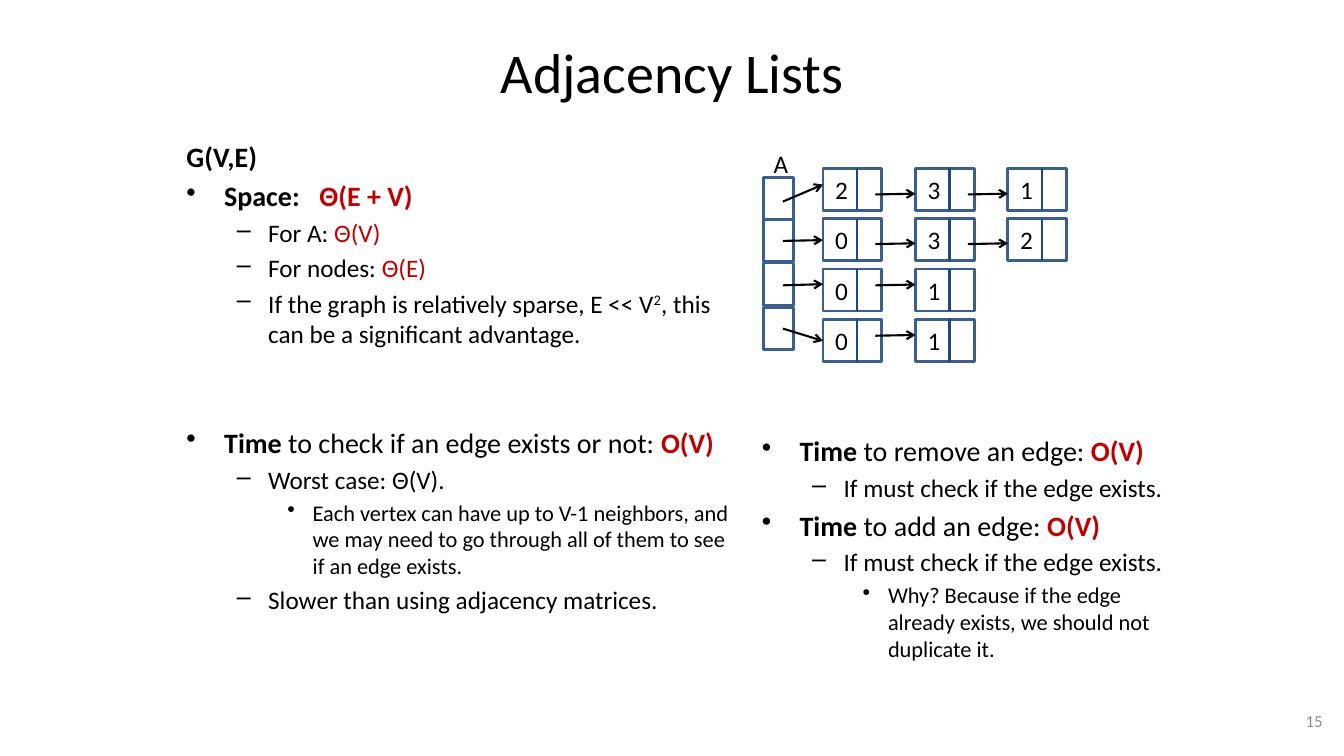
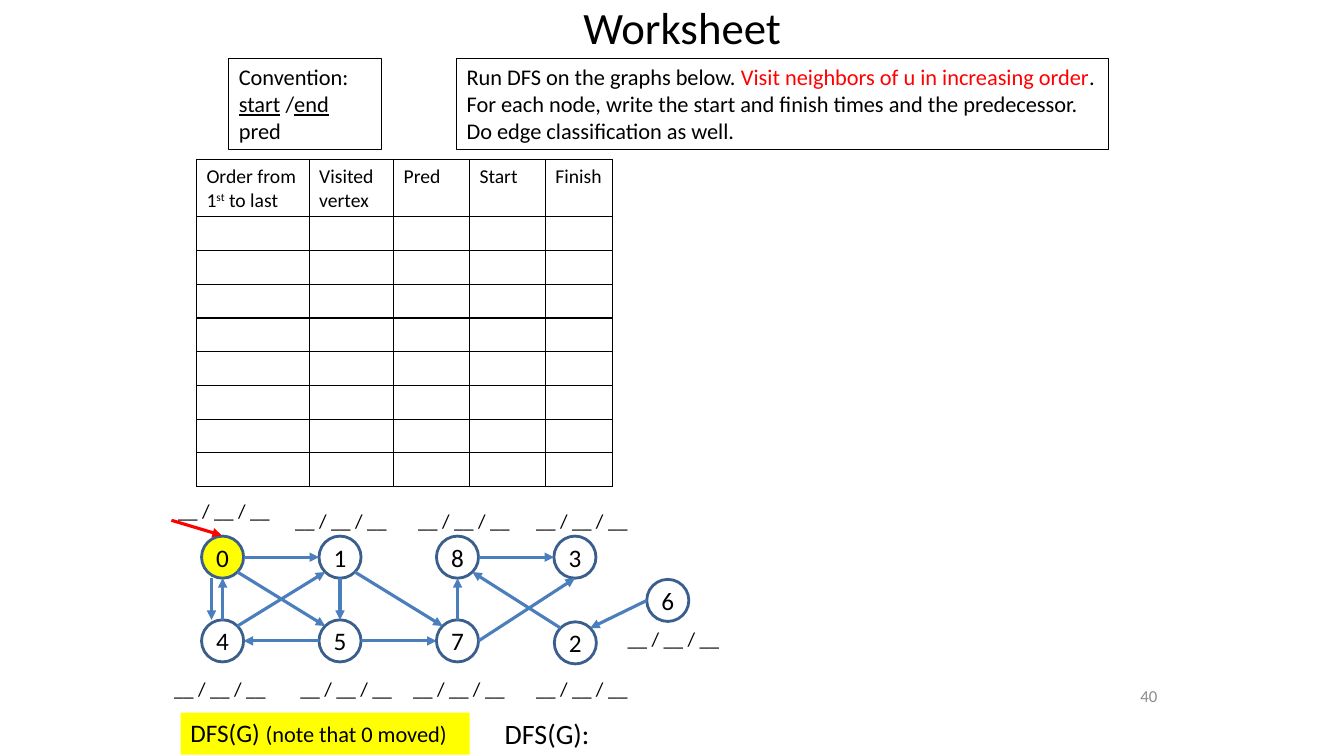
from math import cos, radians, sin

from lxml import etree
from pptx import Presentation
from pptx.dml.color import RGBColor
from pptx.enum.shapes import MSO_CONNECTOR, MSO_SHAPE
from pptx.enum.text import MSO_ANCHOR, PP_ALIGN
from pptx.oxml.ns import qn
from pptx.util import Cm, Pt

STRAIGHT = MSO_CONNECTOR.STRAIGHT
RECT, OVAL = MSO_SHAPE.RECTANGLE, MSO_SHAPE.OVAL
LEFT, CENTER, RIGHT = PP_ALIGN.LEFT, PP_ALIGN.CENTER, PP_ALIGN.RIGHT
TOP, MIDDLE = MSO_ANCHOR.TOP, MSO_ANCHOR.MIDDLE

BLACK = RGBColor(0x00, 0x00, 0x00)
GRAY = RGBColor(0x8C, 0x8C, 0x8C)
DARK_RED = RGBColor(0xC0, 0x00, 0x00)
RED = RGBColor(0xFF, 0x00, 0x00)
YELLOW = RGBColor(0xFF, 0xFF, 0x00)
OUTLINE = RGBColor(0x3A, 0x5F, 0x8C)
NAVY = RGBColor(0x1F, 0x49, 0x7D)
EDGE = RGBColor(0x4B, 0x7E, 0xBC)

FONT = "Calibri"
BOLD = {"bold": True}
COST = {"color": DARK_RED}
BOLD_COST = {"bold": True, "color": DARK_RED}
SUPER = {"baseline": "30000"}
UNDERLINE = {"underline": True}

LEVELS = {
    0: {"size": 20, "left": 0.95, "hang": 0.95, "bullet": "•"},
    1: {"size": 18, "left": 2.06, "hang": 0.79, "bullet": "–"},
    2: {"size": 16, "left": 3.18, "hang": 0.64, "bullet": "•"},
}

CELL_W, CELL_H = 1.48, 1.06
LIST_X, LIST_Y, LIST_DX, LIST_DY = 20.74, 4.24, 2.33, 1.27
LISTS = ["231", "032", "01", "01"]
NEXT_Y = [0.66, 0.64, 0.41, 0.41]
SLOT_X, SLOT_W = 19.25, 0.74
SLOT_TOPS = [4.47, 5.53, 6.63, 7.75]
SLOT_ARROWS = [(5.08, 4.65), (6.07, 6.05), (7.19, 7.16), (8.28, 8.59)]

NODE_D = 1.06
NODE_X, NODE_DX = 5.08, 2.96
ROW_TOPS = [13.51, 15.62]
NODE_ROWS = ["0183", "457"]
EXTRA_NODES = {"2": (13.97, 15.67), "6": (16.3, 14.6)}
PORTS = {"E": 0, "SE": 45, "S": 90, "SW": 135, "W": 180, "NW": 225, "N": 270, "NE": 315}
EDGES = [
    ("0", "E", "1", "W", 0), ("5", "W", "4", "E", 0), ("5", "E", "7", "W", 0),
    ("7", "E", "3", "S", 0), ("8", "E", "3", "W", 0), ("4", "N", "0", "S", 0),
    ("1", "S", "5", "N", 0), ("7", "N", "8", "S", 0), ("4", "NE", "1", "SW", 0),
    ("0", "SE", "5", "NW", 0), ("1", "SE", "7", "NW", 0), ("0", "S", "4", "N", -0.28),
    ("2", "NW", "8", "SE", 0), ("6", "W", "2", "NE", 0),
]
BLANKS = [
    (4.24, 12.45), (7.19, 12.7), (10.29, 12.7), (13.26, 12.7),
    (4.14, 16.93), (7.32, 16.93), (10.16, 16.93), (13.26, 16.93), (15.57, 15.67),
]
COLUMNS = [2.84, 2.13, 1.91, 1.91, 1.7]
HEADS = [
    [("Order from 1", {}), ("st", SUPER), (" to last", {})],
    [("Visited vertex", {})], [("Pred", {})], [("Start", {})], [("Finish", {})],
]
HEAD_H, ROW_H, BODY_ROWS = 1.44, 0.85, 8


def set_all(obj, values):
    for name, value in values.items():
        setattr(obj, name, value)


def add_runs(p, runs, size, color=BLACK):
    for text, marks in runs:
        r = p.add_run()
        r.text = text
        values = {"name": FONT, "size": Pt(size), "color": color, **marks}
        r.font.color.rgb = values.pop("color")
        baseline = values.pop("baseline", None)
        if baseline:
            r._r.get_or_add_rPr().set("baseline", baseline)
        set_all(r.font, values)


def fill_text(tf, paragraphs, size, color=BLACK, align=LEFT, anchor=TOP, **frame):
    set_all(tf, {"word_wrap": True, "vertical_anchor": anchor, **frame})
    for i, runs in enumerate(paragraphs):
        p = tf.add_paragraph() if i else tf.paragraphs[0]
        p.alignment = align
        add_runs(p, runs, size, color)


def add_text(s, box, paragraphs, size, **options):
    sp = s.shapes.add_textbox(*map(Cm, box))
    fill_text(sp.text_frame, paragraphs, size, **options)
    return sp


def add_framed_text(s, box, paragraphs):
    sp = add_text(s, box, paragraphs, 16)
    sp.line.color.rgb = BLACK
    sp.line.width = Pt(0.75)


def add_page_number(s, box, number):
    add_text(s, box, [[(number, {})]], 12, color=GRAY, align=RIGHT, anchor=MIDDLE)


def add_outline(s, box, items):
    tf = s.shapes.add_textbox(*map(Cm, box)).text_frame
    tf.word_wrap = True
    for i, (level, runs, options) in enumerate(items):
        p = tf.add_paragraph() if i else tf.paragraphs[0]
        style = LEVELS[level]
        if options.get("bullet", True):
            pPr = p._p.get_or_add_pPr()
            pPr.set("marL", str(Cm(style["left"])))
            pPr.set("indent", str(-Cm(style["hang"])))
            etree.SubElement(pPr, qn("a:buChar"), char=style["bullet"])
            if "tab" in options:
                tabs = etree.SubElement(pPr, qn("a:tabLst"))
                etree.SubElement(tabs, qn("a:tab"), pos=str(Cm(options["tab"])), algn="l")
        p.level = level
        if i:
            p.space_before = Pt(options.get("before", style["size"] * 0.2))
        add_runs(p, runs, style["size"])


def add_shape(s, kind, box, fill=None, line=None):
    sp = s.shapes.add_shape(kind, *map(Cm, box))
    sp.shadow.inherit = False
    if fill is None:
        sp.fill.background()
    else:
        sp.fill.solid()
        sp.fill.fore_color.rgb = fill
    if line is None:
        sp.line.fill.background()
    else:
        sp.line.color.rgb = line
        sp.line.width = Pt(2)
    return sp


def add_line(s, start, end, color, width, head=None):
    cn = s.shapes.add_connector(STRAIGHT, *map(Cm, (*start, *end)))
    cn.line.color.rgb = color
    cn.line.width = Pt(width)
    if head:
        etree.SubElement(cn.line._get_or_add_ln(), qn("a:tailEnd"), type=head)
    etree.SubElement(cn._element.spPr, qn("a:effectLst"))


def add_list_cell(s, x, y, value):
    add_shape(s, RECT, (x, y, CELL_W, CELL_H), line=OUTLINE)
    add_line(s, (x + 0.86, y), (x + 0.86, y + CELL_H), NAVY, 1.75)
    add_text(s, (x + 0.06, y + 0.03, 0.84, 1.02), [[(value, {})]], 18)


def add_adjacency_lists(s):
    add_text(s, (SLOT_X, 3.61, 0.89, 1.02), [[("A", {})]], 18)
    for row, values in enumerate(LISTS):
        add_shape(s, RECT, (SLOT_X, SLOT_TOPS[row], SLOT_W, CELL_H), line=OUTLINE)
        y = LIST_Y + row * LIST_DY
        for col, value in enumerate(values):
            x = LIST_X + col * LIST_DX
            add_list_cell(s, x, y, value)
            if col:
                link_y = y + NEXT_Y[row]
                start = (x - LIST_DX + 1.32, link_y)
                add_line(s, start, (x, link_y - 0.02), BLACK, 1.5, "arrow")
        y1, y2 = SLOT_ARROWS[row]
        add_line(s, (SLOT_X + 0.48, y1), (LIST_X, y2), BLACK, 1.5, "arrow")


def add_node(s, name, x, y):
    fill = YELLOW if name == "0" else None
    sp = add_shape(s, OVAL, (x, y, NODE_D, NODE_D), fill, OUTLINE)
    fill_text(sp.text_frame, [[(name, {})]], 18, align=CENTER, anchor=MIDDLE,
              margin_left=0, margin_right=0, margin_top=0, margin_bottom=0)


def port(corner, side, shift):
    angle, radius = radians(PORTS[side]), NODE_D / 2
    x, y = corner
    return x + radius * (1 + cos(angle)) + shift, y + radius * (1 + sin(angle))


def add_graph(s):
    nodes = {
        name: (NODE_X + col * NODE_DX, top)
        for top, names in zip(ROW_TOPS, NODE_ROWS)
        for col, name in enumerate(names)
    }
    nodes.update(EXTRA_NODES)
    for name, corner in nodes.items():
        add_node(s, name, *corner)
    for a, side_a, b, side_b, shift in EDGES:
        start, end = port(nodes[a], side_a, shift), port(nodes[b], side_b, shift)
        add_line(s, start, end, EDGE, 2.25, "triangle")
    add_line(s, (4.32, 13.11), (5.59, 13.49), RED, 2.25, "triangle")
    for x, y in BLANKS:
        add_text(s, (x, y, 3.2, 0.86), [[("__ / __ / __", {})]], 14)


def add_borders(cell):
    tcPr = cell._tc.get_or_add_tcPr()
    for side in ("lnL", "lnR", "lnT", "lnB"):
        ln = etree.SubElement(tcPr, qn("a:" + side), w=str(Pt(1)))
        fill = etree.SubElement(ln, qn("a:solidFill"))
        etree.SubElement(fill, qn("a:srgbClr"), val=str(BLACK))


def add_visit_table(s):
    height = HEAD_H + BODY_ROWS * ROW_H
    box = map(Cm, (4.95, 4.02, sum(COLUMNS), height))
    table = s.shapes.add_table(BODY_ROWS + 1, len(COLUMNS), *box).table
    set_all(table, {"first_row": False, "horz_banding": False})
    for column, width in zip(table.columns, COLUMNS):
        column.width = Cm(width)
    for i, row in enumerate(table.rows):
        row.height = Cm(ROW_H if i else HEAD_H)
        for cell, runs in zip(row.cells, HEADS):
            add_borders(cell)
            cell.fill.background()
            if i:
                set_all(cell, {"margin_top": 0, "margin_bottom": 0})
            else:
                add_runs(cell.text_frame.paragraphs[0], runs, 14)


def build_adjacency(s):
    add_text(s, (1.7, 0.2, 30.48, 3.18), [[("Adjacency Lists", {})]], 40,
             align=CENTER, anchor=MIDDLE)
    add_outline(s, (4.45, 3.39, 14.17, 12.9), [
        (0, [("G(V,E)", BOLD)], {"bullet": False}),
        (0, [("Space:\t", BOLD), ("Θ(E + V)", BOLD_COST)], {"tab": 3.35}),
        (1, [("For A: ", {}), ("Θ(V)", COST)], {}),
        (1, [("For nodes: ", {}), ("Θ(E)", COST)], {}),
        (1, [("If the graph is relatively sparse, E << V", {}), ("2", SUPER),
             (", this can be a significant advantage.", {})], {}),
        (0, [("Time", BOLD), (" to check if an edge exists or not: ", {}),
             ("O(V)", BOLD_COST)], {"before": 55}),
        (1, [("Worst case: Θ(V).", {})], {}),
        (2, [("Each vertex can have up to V-1 neighbors, and we may need to go "
              "through all of them to see if an edge exists.", {})], {}),
        (1, [("Slower than using adjacency matrices.", {})], {}),
    ])
    check = (1, [("If must check if the edge exists.", {})], {})
    add_outline(s, (18.95, 10.8, 10.69, 6.35), [
        (0, [("Time", BOLD), (" to remove an edge: ", {}), ("O(V)", BOLD_COST)], {}),
        check,
        (0, [("Time", BOLD), (" to add an edge: ", {}), ("O(V)", BOLD_COST)], {}),
        check,
        (2, [("Why? Because if the edge already exists, we should not "
              "duplicate it.", {})], {}),
    ])
    add_adjacency_lists(s)
    add_page_number(s, (25.68, 17.65, 7.9, 1.02), "15")


def build_worksheet(s):
    add_text(s, (14.45, 0, 6, 1.45), [[("Worksheet", {})]], 32, margin_top=0)
    add_framed_text(s, (5.77, 1.47, 3.84, 2.31), [
        [("Convention:", {})],
        [("start", UNDERLINE), (" /", {}), ("end", UNDERLINE)],
        [("pred", {})],
    ])
    add_framed_text(s, (11.51, 1.47, 16.43, 2.31), [
        [("Run DFS on the graphs below. ", {}),
         ("Visit neighbors of u in increasing order", {"color": RED}), (".", {})],
        [("For each node, write the start and finish times and the predecessor.", {})],
        [("Do edge classification as well.", {})],
    ])
    add_visit_table(s)
    add_graph(s)
    note = add_shape(s, RECT, (4.55, 17.96, 7.29, 1.06), fill=YELLOW)
    fill_text(note.text_frame, [[("DFS(G) ", {}), ("(note that 0 moved)", {"size": Pt(16)})]], 18)
    add_text(s, (12.47, 17.93, 7.67, 0.97), [[("DFS(G):", {})]], 20)
    add_page_number(s, (23.5, 17.02, 5.92, 1.02), "40")


def main():
    prs = Presentation()
    set_all(prs, {"slide_width": Cm(33.87), "slide_height": Cm(19.05)})
    for build in (build_adjacency, build_worksheet):
        build(prs.slides.add_slide(prs.slide_layouts[6]))
    prs.save("out.pptx")


if __name__ == "__main__":
    main()
